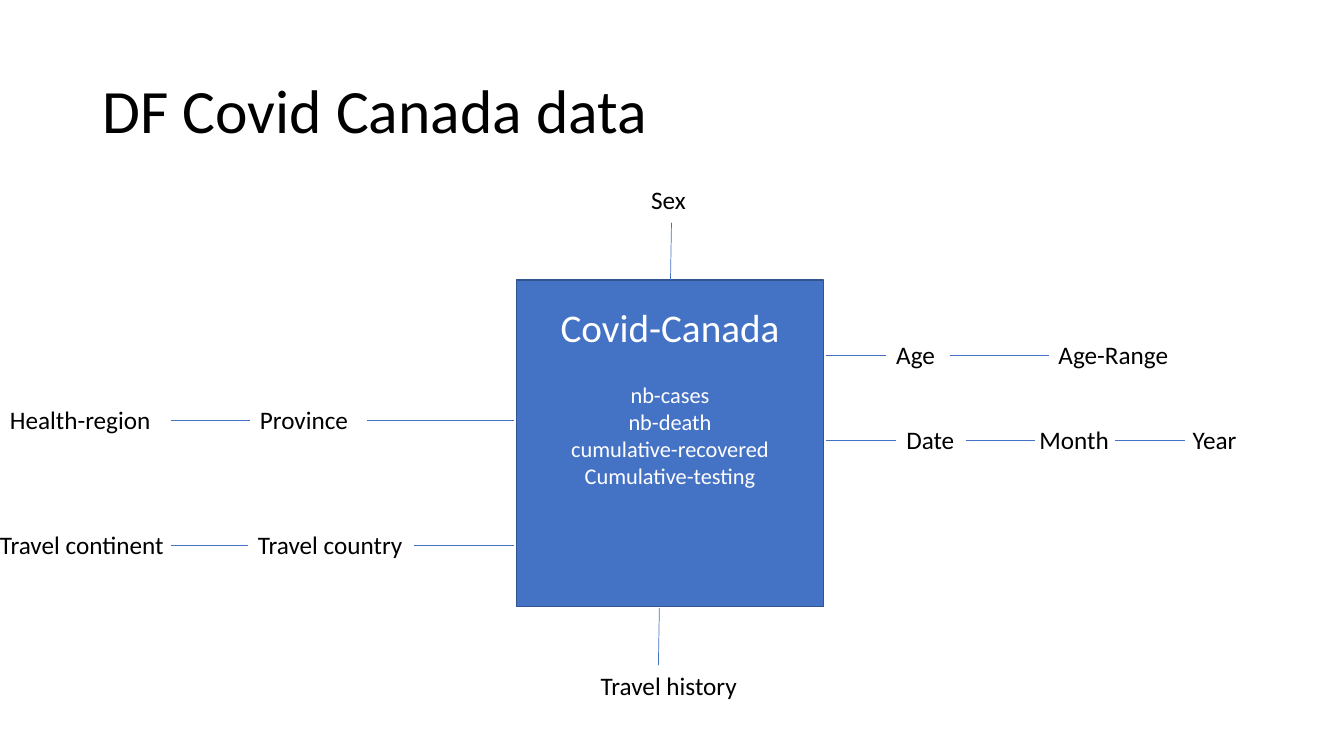
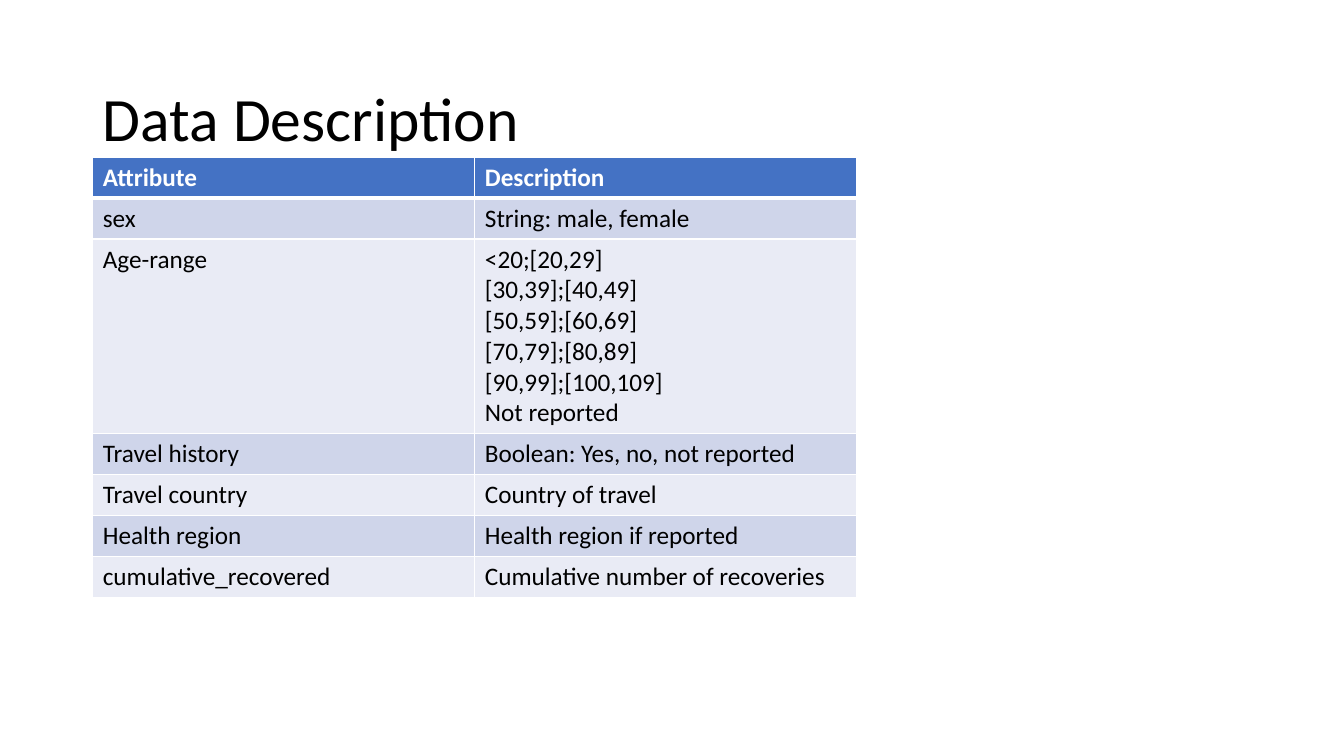
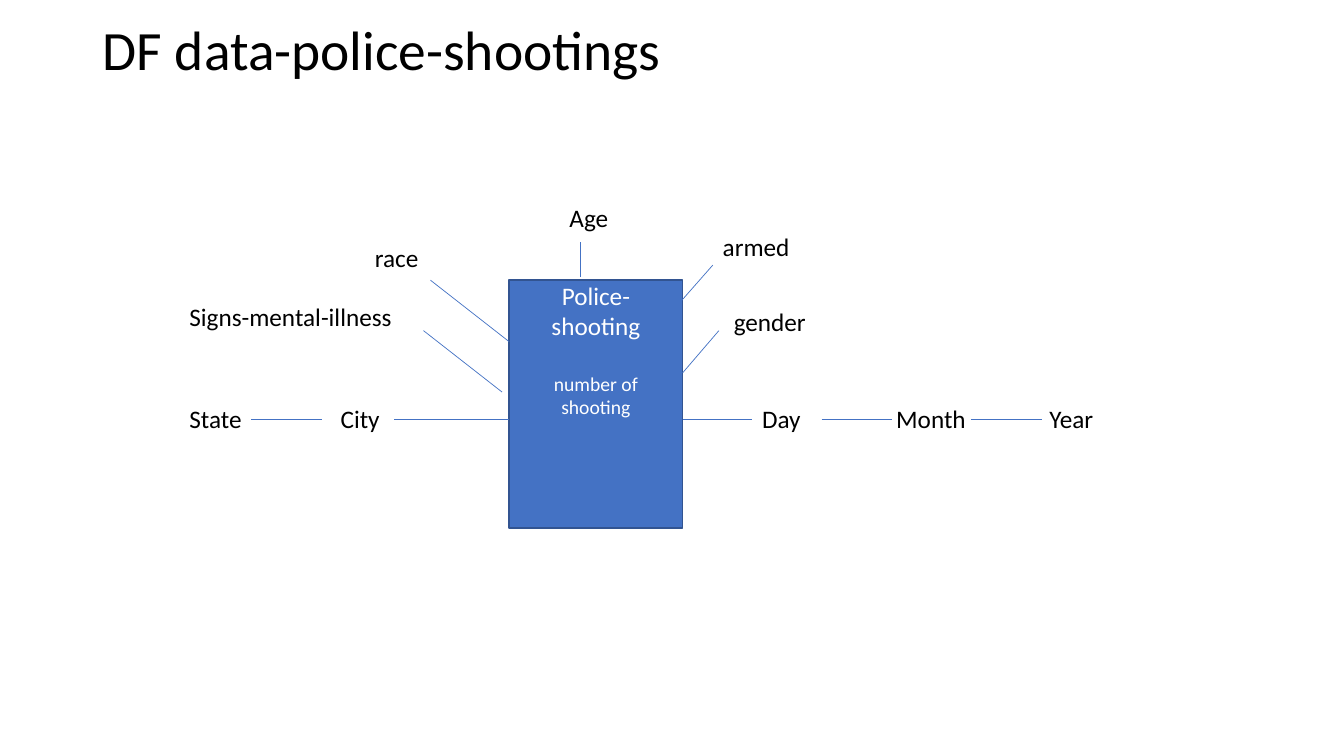
from dataclasses import dataclass

from lxml import etree
from pptx import Presentation
from pptx.dml.color import RGBColor
from pptx.enum.shapes import MSO_CONNECTOR, MSO_SHAPE
from pptx.enum.text import MSO_ANCHOR, MSO_AUTO_SIZE, PP_ALIGN
from pptx.oxml.ns import qn
from pptx.util import Inches, Pt

LINE, RECT = MSO_CONNECTOR.STRAIGHT, MSO_SHAPE.RECTANGLE
TOP, MIDDLE = MSO_ANCHOR.TOP, MSO_ANCHOR.MIDDLE
LEFT, CENTER = PP_ALIGN.LEFT, PP_ALIGN.CENTER
NO_FIT = MSO_AUTO_SIZE.NONE


@dataclass(frozen=True)
class Theme:
    font: str = "Calibri"
    ink: str = "000000"
    white: str = "FFFFFF"
    blue: str = "4472C4"
    edge: str = "325491"
    bands: tuple = ("CFD5EA", "E9EBF5")
    title: float = 44
    body: float = 18
    gap: float = 22
    hair: float = 0.5


T = Theme()
LABEL_H = 0.4
LABEL_UP = 0.21  # from a row's line up to the top of its labels

# Content: rows hold (line y, labels as text/left/width, links as from/to x);
# spokes hold (text, left, top, width, link ends)
COVID = {
    "title": ("DF Covid Canada data", (0.92, 0.4, 11.5, 1.45), T.title),
    "box": (5.12, 2.78, 3.05, 3.24),
    "inset": 0.23,
    "head": ("Covid-Canada", 28),
    "facts": (["nb-cases", "nb-death", "cumulative-recovered",
               "Cumulative-testing"], 16),
    "rows": [
        (3.53, [("Age", 8.79, 0.78), ("Age-Range", 10.4, 1.67)],
         [(8.19, 8.79), (9.42, 10.4)]),
        (4.37, [("Date", 8.89, 0.69), ("Month", 10.21, 1.02),
                ("Year", 11.73, 1.02)],
         [(8.19, 8.89), (9.58, 10.27), (11.06, 11.75)]),
        (4.17, [("Health-region", 0, 1.7), ("Province", 2.48, 1.16)],
         [(1.7, 2.48), (3.64, 5.1)]),
        (5.41, [("Travel continent", -0.1, 1.9),
                ("Travel country", 2.46, 1.9)],
         [(1.7, 2.46), (4.11, 5.1)]),
    ],
    "spokes": [
        ("Sex", 6.36, 1.78, 1.16, (6.65, 2.78, 6.66, 2.21)),
        ("Travel history", 5.86, 6.6, 1.56, (6.53, 6.6, 6.54, 6.03)),
    ],
}

POLICE = {
    "title": ("DF data-police-shootings", (0.92, 0.17, 11.5, 0.7), 39.6),
    "box": (5.05, 2.78, 1.72, 2.46),
    "inset": 0,
    "head": ("Police-shooting", 18),
    "facts": (["number of shooting"], 14),
    "rows": [
        (4.16, [("State", 1.78, 0.86), ("City", 3.28, 0.85),
                ("Day", 7.46, 0.69), ("Month", 8.79, 1.02),
                ("Year", 10.31, 1.02)],
         [(2.49, 3.19), (3.91, 5.05), (6.77, 7.46), (8.15, 8.85),
          (9.63, 10.33)]),
    ],
    "spokes": [
        ("Age", 5.55, 1.96, 1.16, (5.76, 2.75, 5.76, 2.4)),
        ("race", 3.62, 2.35, 1.03, (5.05, 3.39, 4.27, 2.78)),
        ("Signs-mental-illness", 1.78, 2.94, 2.38, (4.98, 3.89, 4.2, 3.28)),
        ("armed", 7.07, 2.25, 1.16, (6.7, 3.05, 7.07, 2.63)),
        ("gender", 7.18, 2.99, 1.16, (6.77, 3.7, 7.13, 3.28)),
    ],
}

FIELDS = {
    "title": ("Data Description", (0.92, 0.48, 11.5, 1.45), T.title),
    "at": (0.92, 1.56),
    "col": 3.79,
    "cells": [
        ("Attribute", ["Description"]),
        ("sex", ["String: male, female"]),
        ("Age-range", ["<20;[20,29]", "[30,39];[40,49]", "[50,59];[60,69]",
                       "[70,79];[80,89]", "[90,99];[100,109]",
                       "Not reported"]),
        ("Travel history", ["Boolean: Yes, no, not reported"]),
        ("Travel country", ["Country of travel"]),
        ("Health region", ["Health region if reported"]),
        ("cumulative_recovered", ["Cumulative number of recoveries"]),
    ],
}


# Shared helpers
def place(at):
    return [Inches(n) for n in at]


def paint(fill, color):
    fill.solid()
    fill.fore_color.rgb = RGBColor.from_string(color)


def write(para, text, size=T.body, color=T.ink, bold=False, align=LEFT):
    para.alignment = align
    run = para.add_run()
    run.text = text
    font = run.font
    font.name, font.size, font.bold = T.font, Pt(size), bold
    font.color.rgb = RGBColor.from_string(color)


def lines(frame, texts, **style):
    for i, text in enumerate(texts):
        para = frame.add_paragraph() if i else frame.paragraphs[0]
        write(para, text, **style)


def start(deck, title):
    text, at, size = title
    slide = deck.slides.add_slide(deck.slide_layouts[5])
    head = slide.shapes.title
    head.left, head.top, head.width, head.height = place(at)
    frame = head.text_frame
    frame.auto_size, frame.word_wrap = NO_FIT, True
    frame.vertical_anchor = MIDDLE
    para = frame.paragraphs[0]
    para.line_spacing = 0.9
    write(para, text, size)
    return slide


def label(slide, text, x, y, w):
    frame = slide.shapes.add_textbox(*place((x, y, w, LABEL_H))).text_frame
    frame.word_wrap = True
    write(frame.paragraphs[0], text)


def link(slide, ends):
    wire = slide.shapes.add_connector(LINE, *place(ends))
    wire.line.width = Pt(T.hair)
    wire.line.color.rgb = RGBColor.from_string(T.blue)
    etree.SubElement(wire.element.spPr, qn("a:effectLst"))


# Star diagram: a fact box with dimension labels around it
def star(deck, data):
    slide = start(deck, data["title"])
    box = slide.shapes.add_shape(RECT, *place(data["box"]))
    box.shadow.inherit = False
    paint(box.fill, T.blue)
    box.line.width = Pt(1)
    box.line.color.rgb = RGBColor.from_string(T.edge)
    frame = box.text_frame
    frame.word_wrap, frame.vertical_anchor = True, TOP
    frame.margin_top = Inches(data["inset"])
    head, size = data["head"]
    write(frame.paragraphs[0], head, size, T.white, align=CENTER)
    facts, size = data["facts"]
    for i, fact in enumerate(facts):
        para = frame.add_paragraph()
        para.space_before = Pt(0 if i else T.gap)
        write(para, fact, size, T.white, align=CENTER)

    for y, names, spans in data["rows"]:
        for text, x, w in names:
            label(slide, text, x, y - LABEL_UP, w)
        for x1, x2 in spans:
            link(slide, (x1, y, x2, y))
    for text, x, y, w, ends in data["spokes"]:
        label(slide, text, x, y, w)
        link(slide, ends)


# Table of fields
def border(cell, side, width):
    props = cell._tc.get_or_add_tcPr()
    edge = etree.SubElement(props, qn("a:ln" + side), w=str(Pt(width)))
    fill = etree.SubElement(edge, qn("a:solidFill"))
    etree.SubElement(fill, qn("a:srgbClr"), val=T.white)


def fields(deck, data):
    slide = start(deck, data["title"])
    cells, col = data["cells"], data["col"]
    high = [0.1 + 0.3 * len(info) for _, info in cells]
    at = place((*data["at"], 2 * col, sum(high)))
    table = slide.shapes.add_table(len(cells), 2, *at).table
    for column in table.columns:
        column.width = Inches(col)
    for r, (name, info) in enumerate(cells):
        table.rows[r].height = Inches(high[r])
        for c, texts in enumerate(([name], info)):
            cell = table.cell(r, c)
            for side in "LRTB":
                thick = (r, side) in ((0, "B"), (1, "T"))
                border(cell, side, 3 if thick else 1)
            paint(cell.fill, T.bands[(r - 1) % 2] if r else T.blue)
            lines(cell.text_frame, texts,
                  color=T.ink if r else T.white, bold=r == 0)


def main():
    deck = Presentation()
    deck.slide_width, deck.slide_height = Inches(13.33), Inches(7.5)
    star(deck, COVID)
    fields(deck, FIELDS)
    star(deck, POLICE)
    deck.save("out.pptx")


if __name__ == "__main__":
    main()
